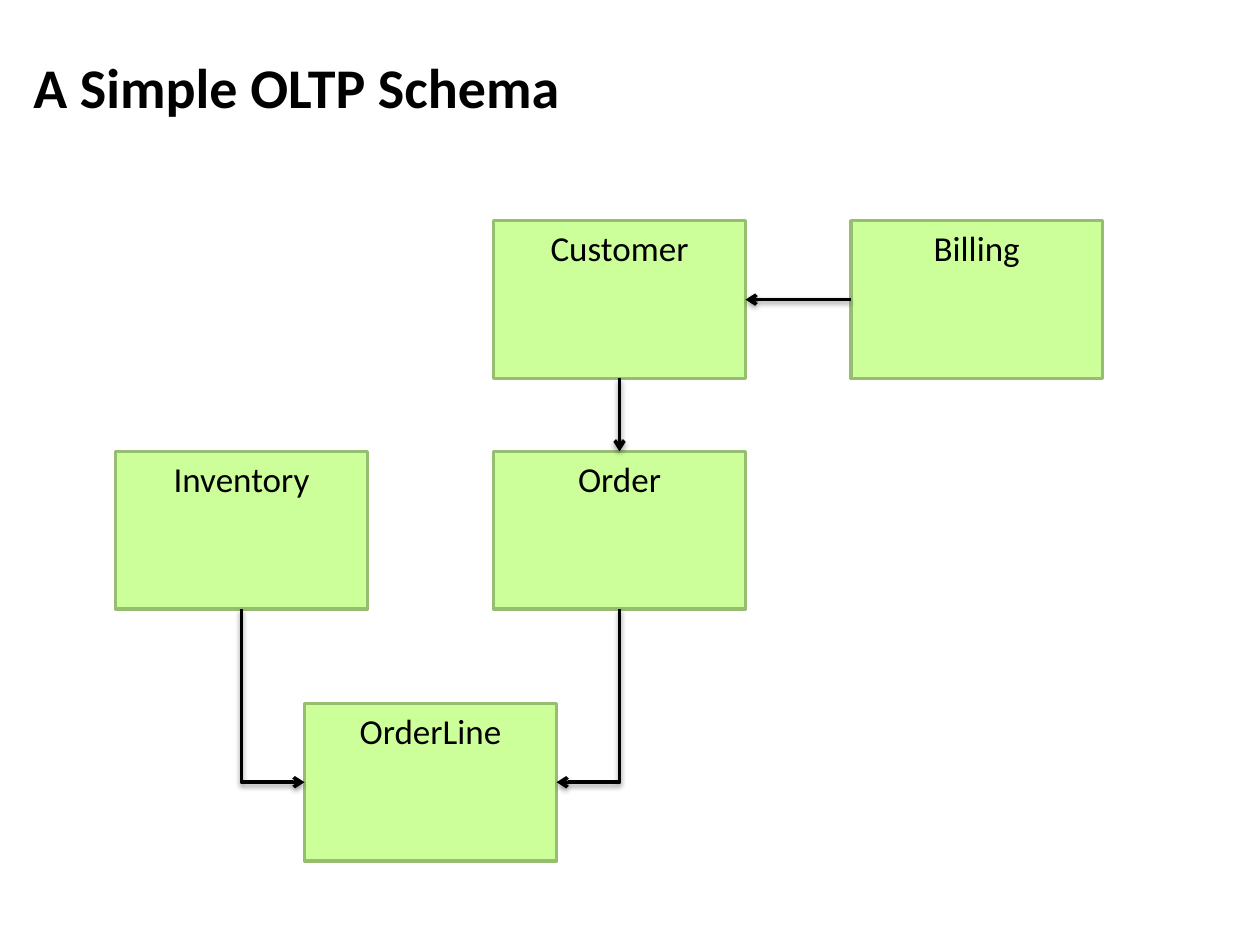
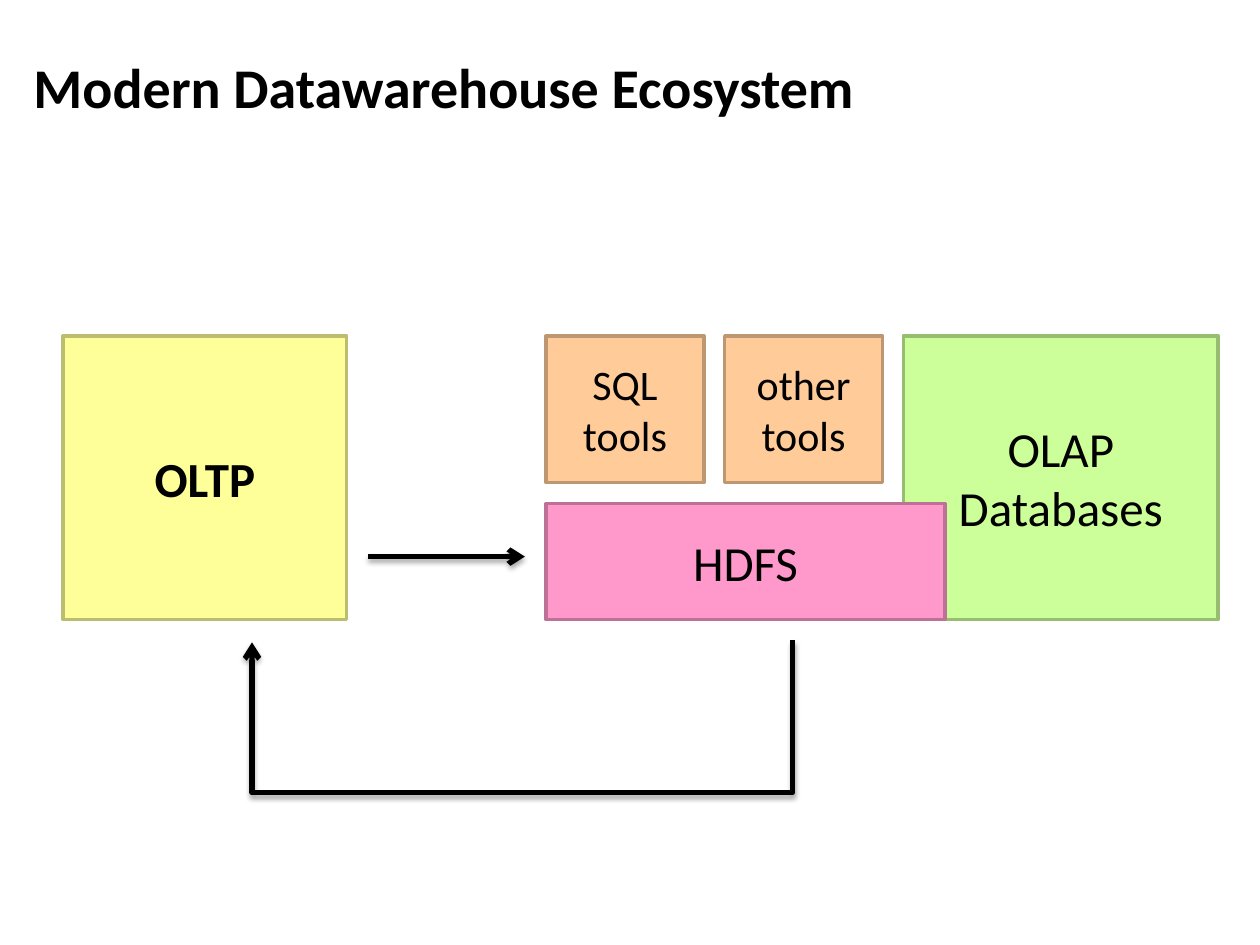
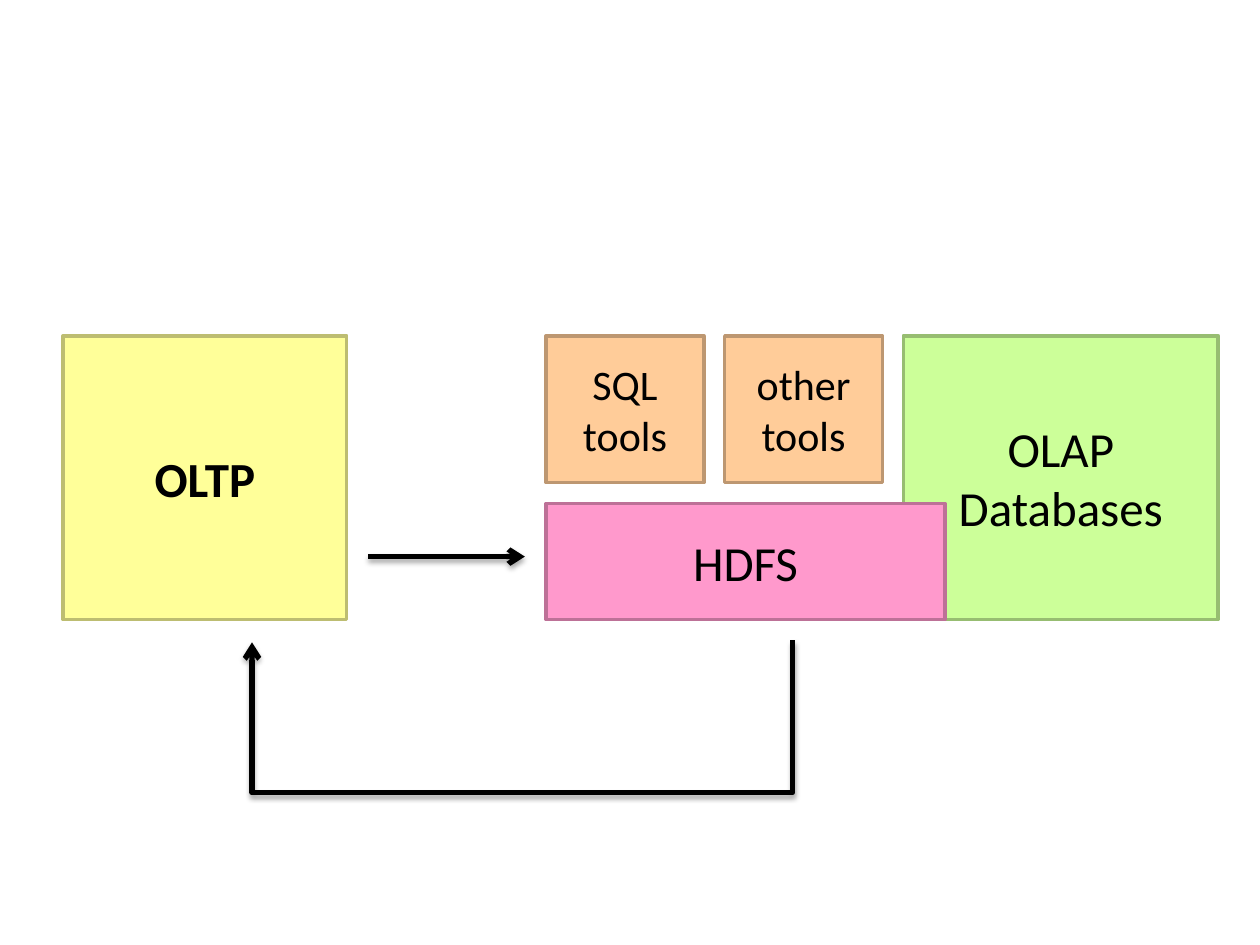
"""Builds three slides on OLTP schemas and the data warehouse ecosystem."""
import pptx
import pptx.dml.color
import pptx.enum.shapes
import pptx.enum.text
import pptx.oxml
import pptx.oxml.ns
import pptx.util
from pptx.util import Cm

FONT = "Calibri"
BLACK = "000000"
GREEN, YELLOW = ("CCFF99", "97BD71"), ("FFFF99", "BDBD71")
PINK, ORANGE = ("FF99CC", "BD7197"), ("FFCC99", "BD9771")
ANCHOR = pptx.enum.text.MSO_ANCHOR
CONNECTOR = pptx.enum.shapes.MSO_CONNECTOR
TOP, LEFT, BOTTOM, RIGHT = range(4)

TITLE_AREA = (0.42, 0.32, 24.13, 2.84)
TITLE_FORMAT = {"size": 32, "bold": True}

ENTITY_SIZE = (5.08, 3.18)
COLUMN_LEFT, COLUMN_STEP = 2.33, 3.81
ENTITY_ROWS = (4.45, 9.1, 14.18)
ENTITIES = [
    ("Customer", 2, 0),
    ("Billing", 3.89, 0),
    ("Order", 2, 1),
    ("Inventory", 0, 1),
    ("OrderLine", 1, 2),
]
STRAIGHT_RELATIONS = [
    ("Customer", BOTTOM, "Order", TOP),
    ("Billing", LEFT, "Customer", RIGHT),
]
BENT_RELATIONS = [("Inventory", "OrderLine", LEFT), ("Order", "OrderLine", RIGHT)]
RELATION_LINE = {"width": 2, "shadow_alpha": 38, "shadow_distance": 1.6}

GAP = 0.42
SYSTEM_TOP, SYSTEM_HEIGHT = 6.77, 5.72
TOOL_LEFT, TOOL_WIDTH, TOOL_HEIGHT = 11.01, 3.18, 2.96
TOOL_STEP = TOOL_WIDTH + GAP
HDFS_TOP = SYSTEM_TOP + TOOL_HEIGHT + GAP
HDFS_HEIGHT = SYSTEM_HEIGHT - TOOL_HEIGHT - GAP
SYSTEMS = [
    ("OLTP", (1.27, SYSTEM_TOP, 5.72, SYSTEM_HEIGHT), YELLOW, {"size": 28, "bold": True}),
    ("OLAP\nDatabases", (TOOL_LEFT + 2 * TOOL_STEP, SYSTEM_TOP, 6.35, SYSTEM_HEIGHT),
     GREEN, {"size": 28}),
    ("HDFS", (TOOL_LEFT, HDFS_TOP, 8.04, HDFS_HEIGHT), PINK, {"size": 28}),
]
TOOLS = ["SQL tools", "other tools"]
FLOW_START, FLOW_END = (7.42, 11.22), (10.58, 11.22)
RETURN_START, RETURN_END, RETURN_DEPTH = (15.98, 12.91), (5.08, 12.95), 3.07
FLOW_LINE = {"width": 3, "shadow_alpha": 35, "shadow_distance": 1.8}


def color(value):
    return pptx.dml.color.RGBColor.from_string(value)


def centimetres(values):
    return [Cm(value) for value in values]


def write(text_frame, text, alignment, size, bold=False):
    text_frame.text = text
    font_values = {"name": FONT, "size": pptx.util.Pt(size), "bold": bold}
    for paragraph in text_frame.paragraphs:
        paragraph.alignment = alignment
        for run in paragraph.runs:
            for name, value in font_values.items():
                setattr(run.font, name, value)
            run.font.color.rgb = color(BLACK)


def add_slide(presentation, title=None):
    layout = presentation.slide_layouts[5 if title else 6]
    slide = presentation.slides.add_slide(layout)
    if title:
        shape = slide.shapes.title
        for name, value in zip(("left", "top", "width", "height"), centimetres(TITLE_AREA)):
            setattr(shape, name, value)
        shape.text_frame.vertical_anchor = ANCHOR.MIDDLE
        write(shape.text_frame, title, pptx.enum.text.PP_ALIGN.LEFT, **TITLE_FORMAT)
    return slide


def add_box(slide, text, area, colors, text_format, anchor=ANCHOR.MIDDLE):
    fill, outline = colors
    shape = slide.shapes.add_shape(
        pptx.enum.shapes.MSO_SHAPE.RECTANGLE, *centimetres(area))
    shape.shadow.inherit = False
    shape.fill.solid()
    shape.fill.fore_color.rgb = color(fill)
    shape.line.color.rgb = color(outline)
    shape.line.width = pptx.util.Pt(2)
    shape.text_frame.vertical_anchor = anchor
    write(shape.text_frame, text, pptx.enum.text.PP_ALIGN.CENTER, **text_format)
    return shape


def add_arrow(slide, kind, start, end, width, shadow_alpha, shadow_distance):
    connector = slide.shapes.add_connector(kind, *centimetres(start + end))
    connector.line.color.rgb = color(BLACK)
    connector.line.width = pptx.util.Pt(width)
    properties = connector.element.spPr
    line = properties.find(pptx.oxml.ns.qn("a:ln"))
    namespace = pptx.oxml.ns.nsdecls("a")
    line.append(pptx.oxml.parse_xml(f'<a:tailEnd {namespace} type="arrow"/>'))
    properties.append(pptx.oxml.parse_xml(
        f'<a:effectLst {namespace}><a:outerShdw blurRad="{pptx.util.Pt(3.1)}" '
        f'dist="{pptx.util.Pt(shadow_distance)}" dir="5400000" rotWithShape="0">'
        f'<a:srgbClr val="{BLACK}"><a:alpha val="{shadow_alpha * 1000}"/></a:srgbClr>'
        '</a:outerShdw></a:effectLst>'))
    return connector


def add_bent_arrow(slide, start, end, line_format, depth=None):
    """Leads down from start, then sideways; with a depth it turns back up to end."""
    across, down = abs(end[0] - start[0]), abs(end[1] - start[1])
    middle_x, middle_y = (start[0] + end[0]) / 2, (start[1] + end[1]) / 2
    corner = (middle_x - down / 2, middle_y - across / 2)
    opposite = (middle_x + down / 2, middle_y + across / 2)
    connector = add_arrow(slide, CONNECTOR.ELBOW, corner, opposite, **line_format)
    properties = connector.element.spPr
    leftward = end[0] < start[0]
    properties.xfrm.set("rot", "5400000" if leftward else "16200000")
    if not leftward:
        properties.xfrm.set("flipH", "1")
    geometry = properties.find(pptx.oxml.ns.qn("a:prstGeom"))
    if depth is None:
        geometry.set("prst", "bentConnector2")
    else:
        guides = geometry.find(pptx.oxml.ns.qn("a:avLst"))
        guides.append(pptx.oxml.parse_xml(
            f'<a:gd {pptx.oxml.ns.nsdecls("a")} name="adj1" '
            f'fmla="val {round(depth / down * 100000)}"/>'))


def add_schema(slide):
    width, height = ENTITY_SIZE
    areas, boxes = {}, {}
    for name, column, row in ENTITIES:
        areas[name] = (COLUMN_LEFT + column * COLUMN_STEP, ENTITY_ROWS[row], width, height)
        boxes[name] = add_box(slide, name, areas[name], GREEN, {"size": 20}, ANCHOR.TOP)
    for source, source_side, target, target_side in STRAIGHT_RELATIONS:
        connector = add_arrow(
            slide, CONNECTOR.STRAIGHT, areas[source][:2], areas[target][:2], **RELATION_LINE)
        connector.begin_connect(boxes[source], source_side)
        connector.end_connect(boxes[target], target_side)
    for source, target, side in BENT_RELATIONS:
        source_left, source_top = areas[source][:2]
        target_left, target_top = areas[target][:2]
        start = (source_left + width / 2, source_top + height)
        end = (target_left + (width if side == RIGHT else 0), target_top + height / 2)
        add_bent_arrow(slide, start, end, RELATION_LINE)


def add_ecosystem(slide):
    for system in SYSTEMS:
        add_box(slide, *system)
    for index, tool in enumerate(TOOLS):
        area = (TOOL_LEFT + index * TOOL_STEP, SYSTEM_TOP, TOOL_WIDTH, TOOL_HEIGHT)
        add_box(slide, tool, area, ORANGE, {"size": 24})
    add_arrow(slide, CONNECTOR.STRAIGHT, FLOW_START, FLOW_END, **FLOW_LINE)
    add_bent_arrow(slide, RETURN_START, RETURN_END, FLOW_LINE, RETURN_DEPTH)


def main():
    presentation = pptx.Presentation()
    presentation.slide_width, presentation.slide_height = Cm(25.4), Cm(19.05)
    add_schema(add_slide(presentation, "A Simple OLTP Schema"))
    add_ecosystem(add_slide(presentation, "Modern Datawarehouse Ecosystem"))
    add_ecosystem(add_slide(presentation))
    presentation.save("out.pptx")


if __name__ == "__main__":
    main()
